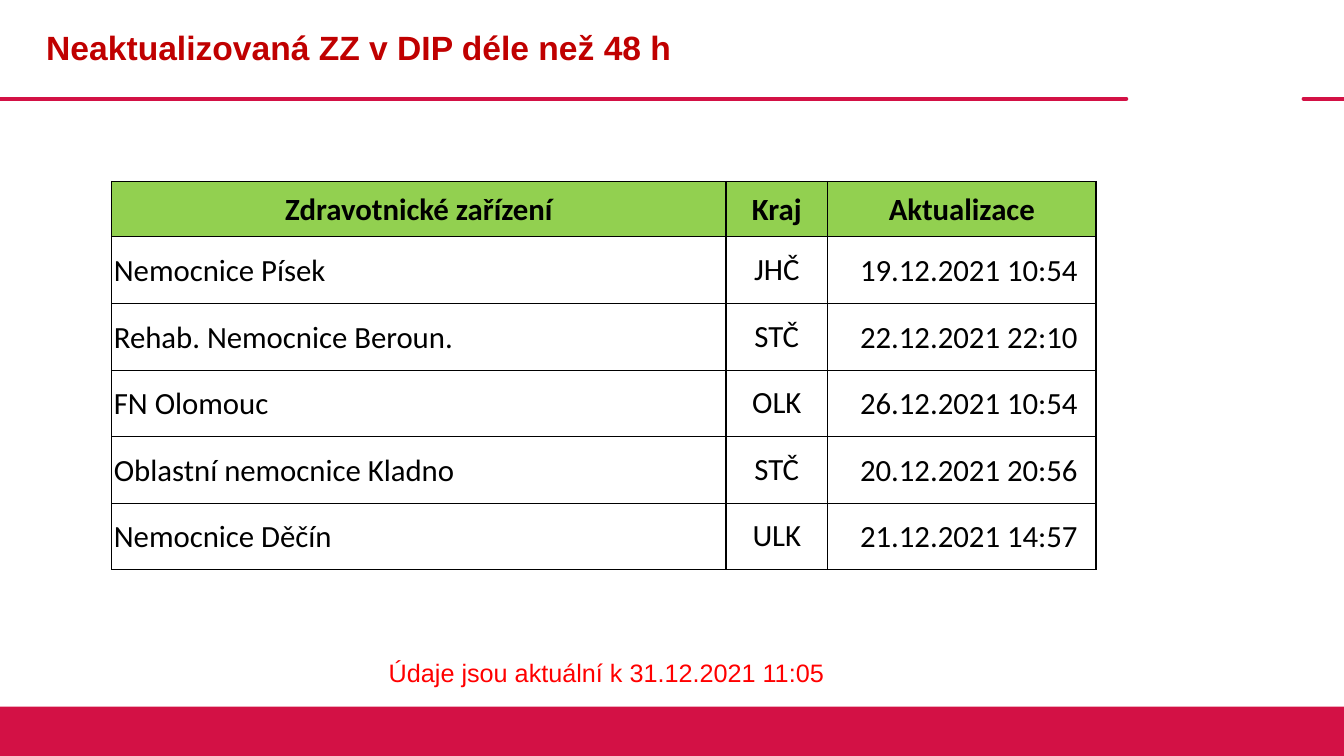
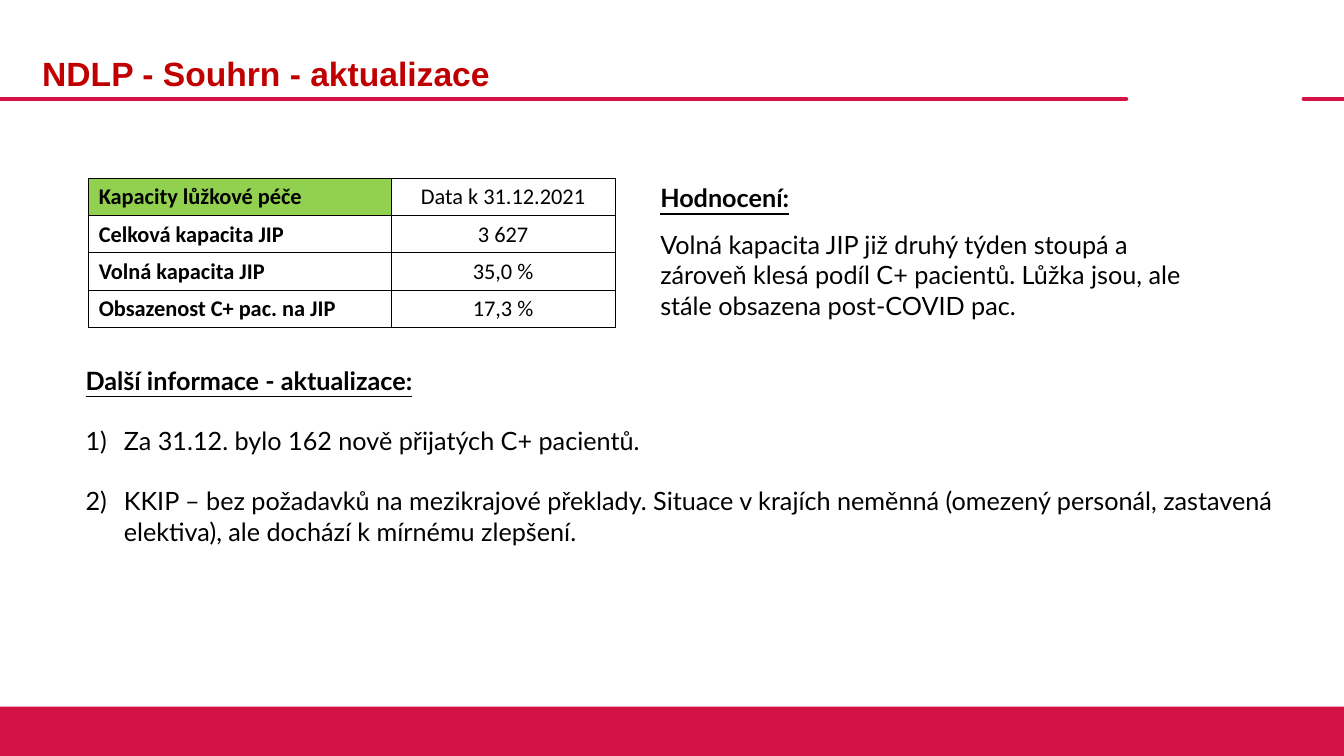
from lxml.etree import SubElement
from pptx import Presentation
from pptx.dml.color import RGBColor
from pptx.enum.shapes import MSO_CONNECTOR, MSO_SHAPE
from pptx.enum.text import MSO_ANCHOR, PP_ALIGN
from pptx.oxml import parse_xml
from pptx.oxml.ns import nsdecls, qn
from pptx.util import Inches, Pt

CRIMSON = RGBColor(0xD3, 0x11, 0x45)
TITLE_RED = RGBColor(0xC0, 0x00, 0x00)
NOTE_RED = RGBColor(0xFF, 0x00, 0x00)
GREEN = RGBColor(0x92, 0xD0, 0x50)
WHITE = RGBColor(0xFF, 0xFF, 0xFF)
BLACK = RGBColor(0x00, 0x00, 0x00)

WIDTH, HEIGHT = 13.33, 7.5
RULE_TOP = 0.98
RULES = [(0, 11.17), (12.93, WIDTH)]
FOOTER_HEIGHT = 0.49
LEFT, CENTER = PP_ALIGN.LEFT, PP_ALIGN.CENTER

# Content
OUTDATED_TITLE = "Neaktualizovaná ZZ v DIP déle než 48 h"
HOSPITALS = [
    ("Zdravotnické zařízení", "Kraj", "Aktualizace"),
    ("Nemocnice Písek", "JHČ", "19.12.2021 10:54"),
    ("Rehab. Nemocnice Beroun.", "STČ", "22.12.2021 22:10"),
    ("FN Olomouc", "OLK", "26.12.2021 10:54"),
    ("Oblastní nemocnice Kladno", "STČ", "20.12.2021 20:56"),
    ("Nemocnice Děčín", "ULK", "21.12.2021 14:57"),
]
VALIDITY_NOTE = "Údaje jsou aktuální k 31.12.2021 11:05"

SUMMARY_TITLE = "NDLP - Souhrn - aktualizace"
CAPACITIES = [
    ("Kapacity lůžkové péče", "Data k 31.12.2021"),
    ("Celková kapacita JIP", "3 627"),
    ("Volná kapacita JIP", "35,0 %"),
    ("Obsazenost C+ pac. na JIP", "17,3 %"),
]
RATING_HEADING = "Hodnocení:"
RATING = ("Volná kapacita JIP již druhý týden stoupá a zároveň klesá podíl C+ pacientů. "
          "Lůžka jsou, ale stále obsazena post-COVID pac.")
NEWS_HEADING = "Další informace - aktualizace:"
NEWS = [
    "Za 31.12. bylo 162 nově přijatých C+ pacientů.",
    "KKIP – bez požadavků na mezikrajové překlady. Situace v krajích neměnná "
    "(omezený personál, zastavená elektiva), ale dochází k mírnému zlepšení.",
]


def style(paragraph, size, name, color=BLACK, bold=False, underline=False):
    for span in paragraph.runs:
        font = span.font
        font.size, font.name, font.bold, font.underline = Pt(size), name, bold, underline
        font.color.rgb = color


def add_text(page, place, lines):
    """Add a wrapped text box and return its frame; one paragraph per line."""
    frame = page.shapes.add_textbox(*map(Inches, place)).text_frame
    frame.word_wrap = True
    frame.text = "\n".join(lines)
    return frame


def add_page(deck, title, title_left, title_top):
    page = deck.slides.add_slide(deck.slide_layouts[6])
    # Rule with a gap on the right
    for start, end in RULES:
        rule = page.shapes.add_connector(
            MSO_CONNECTOR.STRAIGHT, *map(Inches, (start, RULE_TOP, end, RULE_TOP)))
        rule.line.color.rgb = CRIMSON
        rule.line.width = Pt(3)
        properties = rule._element.spPr
        properties.find(qn("a:ln")).set("cap", "rnd")
        SubElement(properties, qn("a:effectLst"))
    # Footer band
    band = page.shapes.add_shape(
        MSO_SHAPE.RECTANGLE,
        *map(Inches, (0, HEIGHT - FOOTER_HEIGHT, WIDTH, FOOTER_HEIGHT)))
    band.shadow.inherit = False
    band.fill.solid()
    band.fill.fore_color.rgb = CRIMSON
    band.line.fill.background()
    # Title
    frame = add_text(page, (title_left, title_top, 10.81, 0.98), [title])
    frame.vertical_anchor = MSO_ANCHOR.MIDDLE
    frame.paragraphs[0].line_spacing = 0.9
    style(frame.paragraphs[0], 24, "Arial", TITLE_RED, bold=True)
    return page


def set_borders(cell, left, right, top, bottom):
    properties = cell._tc.get_or_add_tcPr()
    for index, (side, width) in enumerate(zip("LRTB", (left, right, top, bottom))):
        properties.insert(index, parse_xml(
            f'<a:ln{side} {nsdecls("a")} w="{Pt(width)}"><a:solidFill>'
            f'<a:srgbClr val="{BLACK}"/></a:solidFill></a:ln{side}>'))


def add_grid(page, left, top, widths, heights, rows, size):
    """Add a plain white table with the first column left-aligned."""
    table = page.shapes.add_table(
        len(rows), len(widths),
        *map(Inches, (left, top, sum(widths), sum(heights)))).table
    table.first_row = table.horz_banding = False
    for column, width in zip(table.columns, widths):
        column.width = Inches(width)
    for row, height, texts in zip(table.rows, heights, rows):
        row.height = Inches(height)
        for index, (cell, text) in enumerate(zip(row.cells, texts)):
            cell.text_frame.text = text
            cell.vertical_anchor = MSO_ANCHOR.MIDDLE
            cell.fill.solid()
            cell.fill.fore_color.rgb = WHITE
            paragraph = cell.text_frame.paragraphs[0]
            paragraph.alignment = CENTER if index else LEFT
            style(paragraph, size, "Calibri")
    return table


def set_margins(cell, left, top, right, bottom):
    cell.margin_left, cell.margin_top = Inches(left), Inches(top)
    cell.margin_right, cell.margin_bottom = Inches(right), Inches(bottom)


def build_outdated(deck):
    page = add_page(deck, OUTDATED_TITLE, 0.36, 0)
    # Hospital table
    body_margins = [(0.02, 0.02, 0.02, 0), (0.02, 0.14, 0.02, 0.14), (0.16, 0.02, 0.02, 0)]
    heights = [0.55] + [0.66] * (len(HOSPITALS) - 1)
    table = add_grid(page, 1.11, 1.8, [6.09, 1.01, 2.66], heights, HOSPITALS, 22)
    for index, row in enumerate(table.rows):
        for cell, margins in zip(row.cells, body_margins):
            if index == 0:
                set_margins(cell, 0.01, 0.01, 0.01, 0)
                cell.fill.fore_color.rgb = GREEN
                paragraph = cell.text_frame.paragraphs[0]
                paragraph.alignment = CENTER
                style(paragraph, 22, "Calibri", bold=True)
            else:
                set_margins(cell, *margins)
            set_borders(cell, 1, 1, 1 if index < 2 else 0.5, 0.5 if index else 1)
    # Validity note
    note = add_text(page, (3.3, 6.47, 5.43, 0.4), [VALIDITY_NOTE]).paragraphs[0]
    note.alignment = CENTER
    style(note, 18, "Arial", NOTE_RED)


def add_section(page, place, heading, lines):
    """Add an underlined heading with paragraphs below; return the paragraphs."""
    first, *others = add_text(page, place, [heading, *lines]).paragraphs
    style(first, 18, "Lato", bold=True, underline=True)
    for paragraph in others:
        style(paragraph, 18, "Lato")
    return others


def build_summary(deck):
    page = add_page(deck, SUMMARY_TITLE, 0.32, 0.26)
    # Capacity table
    table = add_grid(page, 0.88, 1.77, [3, 2.22], [0.37] * len(CAPACITIES), CAPACITIES, 16)
    for row in table.rows:
        style(row.cells[0].text_frame.paragraphs[0], 16, "Calibri", bold=True)
    table.cell(0, 0).fill.fore_color.rgb = GREEN
    for cell in table.iter_cells():
        set_borders(cell, 0.75, 0.75, 0.75, 0.75)
    # Numbered news
    for item in add_section(page, (0.75, 3.57, 11.98, 2.52), NEWS_HEADING, NEWS):
        item.space_before = Pt(21.6)
        properties = item._p.get_or_add_pPr()
        properties.set("marL", str(Inches(0.38)))
        properties.set("indent", str(-Inches(0.38)))
        SubElement(properties, qn("a:buFont"), typeface="+mj-lt")
        SubElement(properties, qn("a:buAutoNum"), type="arabicParenR")
    # Rating
    rating, = add_section(page, (6.45, 1.76, 5.75, 1.48), RATING_HEADING, [RATING])
    rating.space_before = Pt(12)


def main():
    deck = Presentation()
    deck.slide_width, deck.slide_height = Inches(WIDTH), Inches(HEIGHT)
    build_outdated(deck)
    build_summary(deck)
    deck.save("out.pptx")


if __name__ == "__main__":
    main()
